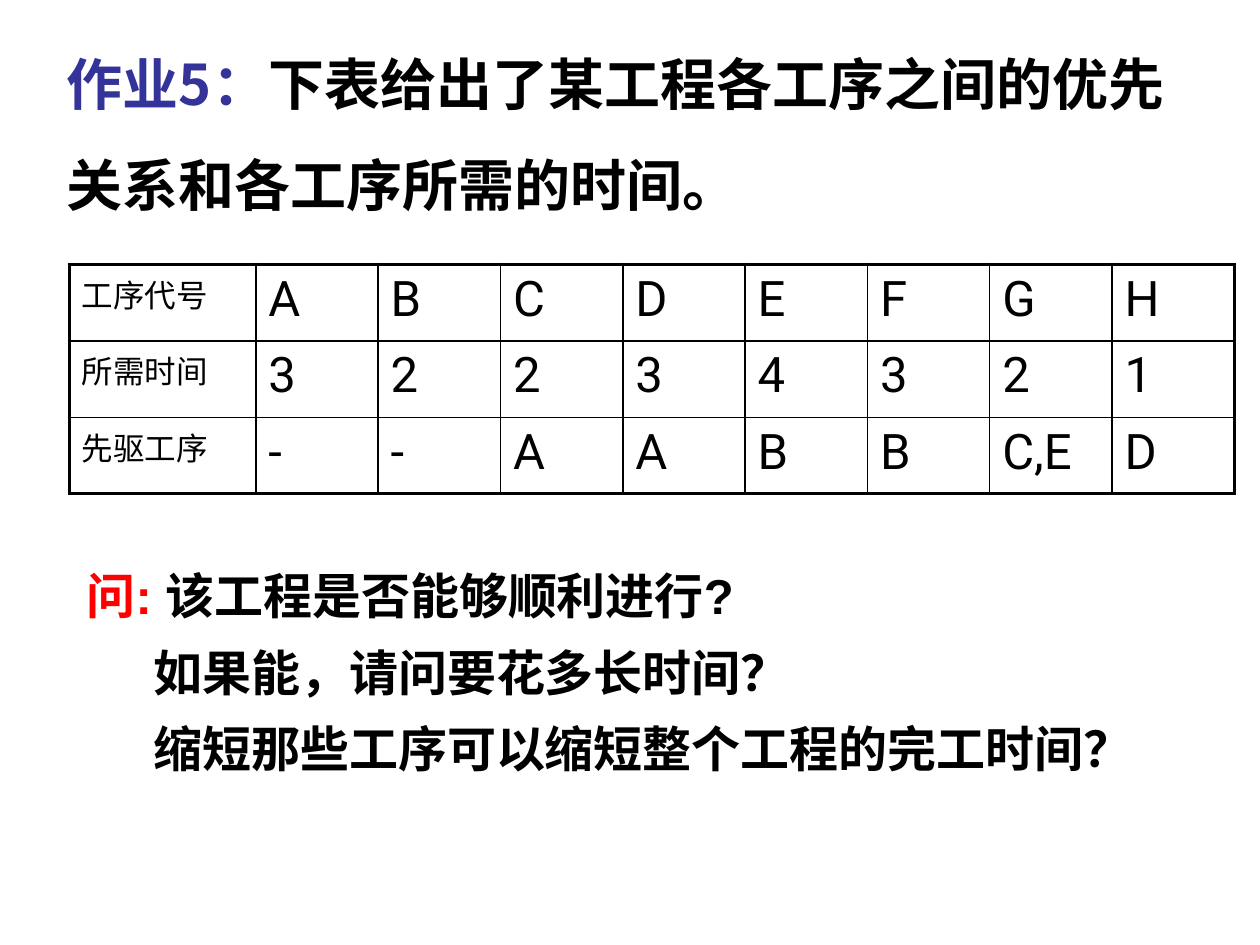
import lxml.etree
import pptx
import pptx.dml.color
import pptx.enum.lang
import pptx.enum.text
import pptx.oxml.ns
import pptx.util

COLORS = {"ink": "000000", "label": "333399", "ask": "FF0000"}
WIDTH, HEIGHT = 10, 7.5
CHINESE_FONT = "Noto Sans CJK SC"
THIN, THICK = 1, 2.25


class SlideBuilder:
    def __init__(self, deck):
        self.deck = deck
        self.page = deck.slides.add_slide(deck.slide_layouts[5])

    def area(self, left, top, width, height):
        """Turn shares of the slide's size into lengths."""
        across, down = self.deck.slide_width, self.deck.slide_height
        return (round(left * across), round(top * down),
                round(width * across), round(height * down))

    def add_span(self, para, text, size, font, color="ink", bold=False):
        span = para.add_run()
        span.text = text
        span.font.size = pptx.util.Pt(size)
        span.font.name = font
        span.font.bold = bold
        span.font.color.rgb = pptx.dml.color.RGBColor.from_string(COLORS[color])
        span.font.language_id = pptx.enum.lang.MSO_LANGUAGE_ID.SIMPLIFIED_CHINESE
        latin = span.font._element.find(pptx.oxml.ns.qn("a:latin"))
        east_asian = lxml.etree.Element(pptx.oxml.ns.qn("a:ea"), typeface=CHINESE_FONT)
        latin.addnext(east_asian)

    def add_para(self, para, spans, size, font, spacing, indent=0):
        para.alignment = pptx.enum.text.PP_ALIGN.LEFT
        para.line_spacing = spacing
        if indent:
            para._p.get_or_add_pPr().set("marL", str(pptx.util.Inches(indent)))
        for text, color in spans:
            self.add_span(para, text, size, font, color, bold=True)

    def title(self, place, spans):
        box = self.page.shapes.title
        box.left, box.top, box.width, box.height = self.area(*place)
        frame = box.text_frame
        frame.auto_size = pptx.enum.text.MSO_AUTO_SIZE.NONE
        frame.vertical_anchor = pptx.enum.text.MSO_ANCHOR.BOTTOM
        self.add_para(frame.paragraphs[0], spans, 32, CHINESE_FONT, 1.5)

    def text(self, place, lines):
        frame = self.page.shapes.add_textbox(*self.area(*place)).text_frame
        frame.word_wrap = True
        for number, (spans, indent) in enumerate(lines):
            para = frame.add_paragraph() if number else frame.paragraphs[0]
            self.add_para(para, spans, 28, "Arial", 1.3, indent)

    def border(self, cell, side, points):
        line = lxml.etree.SubElement(
            cell._tc.get_or_add_tcPr(), pptx.oxml.ns.qn("a:ln" + side),
            w=str(pptx.util.Pt(points)))
        fill = lxml.etree.SubElement(line, pptx.oxml.ns.qn("a:solidFill"))
        lxml.etree.SubElement(fill, pptx.oxml.ns.qn("a:srgbClr"), val=COLORS["ink"])

    def table(self, place, rows, head_share):
        row_count, column_count = len(rows), len(rows[0])
        left, top, width, height = self.area(*place)
        table = self.page.shapes.add_table(
            row_count, column_count, left, top, width, height).table
        table.first_row = table.horz_banding = False

        # A wide heading column, then equal columns
        head_width = round(width * head_share)
        for number, column in enumerate(table.columns):
            column.width = (width - head_width) // (column_count - 1) if number else head_width

        for i, row in enumerate(rows):
            for j, text in enumerate(row):
                cell = table.cell(i, j)
                edges = {"L": j == 0, "R": j == column_count - 1,
                         "T": i == 0, "B": i == row_count - 1}
                for side, outer in edges.items():
                    self.border(cell, side, THICK if outer else THIN)
                cell.fill.background()
                para = cell.text_frame.paragraphs[0]
                self.add_span(para, text, 28 if j else 18, "Roboto")


def main():
    deck = pptx.Presentation()
    deck.slide_width = pptx.util.Inches(WIDTH)
    deck.slide_height = pptx.util.Inches(HEIGHT)
    slide = SlideBuilder(deck)

    # Task statement
    slide.title((0.43 / WIDTH, 0.13 / HEIGHT, 9.29 / WIDTH, 1.65 / HEIGHT), [
        ("作业5：", "label"),
        ("下表给出了某工程各工序之间的优先关系和各工序所需的时间。", "ink"),
    ])

    # Work steps, durations and predecessors
    slide.table((0.55 / WIDTH, 2.1 / HEIGHT, 9.25 / WIDTH, 1.82 / HEIGHT), [
        ["工序代号", "A", "B", "C", "D", "E", "F", "G", "H"],
        ["所需时间", "3", "2", "2", "3", "4", "3", "2", "1"],
        ["先驱工序", "-", "-", "A", "A", "B", "B", "C,E", "D"],
    ], head_share=0.16)

    # Questions
    slide.text((0.59 / WIDTH, 4.3 / HEIGHT, 8.62 / WIDTH, 1.92 / HEIGHT), [
        ([("问:", "ask"), (" 该工程是否能够顺利进行?", "ink")], 0),
        ([("如果能，请问要花多长时间？", "ink")], 0.53),
        ([("缩短那些工序可以缩短整个工程的完工时间？", "ink")], 0.53),
    ])

    deck.save("out.pptx")


if __name__ == "__main__":
    main()
